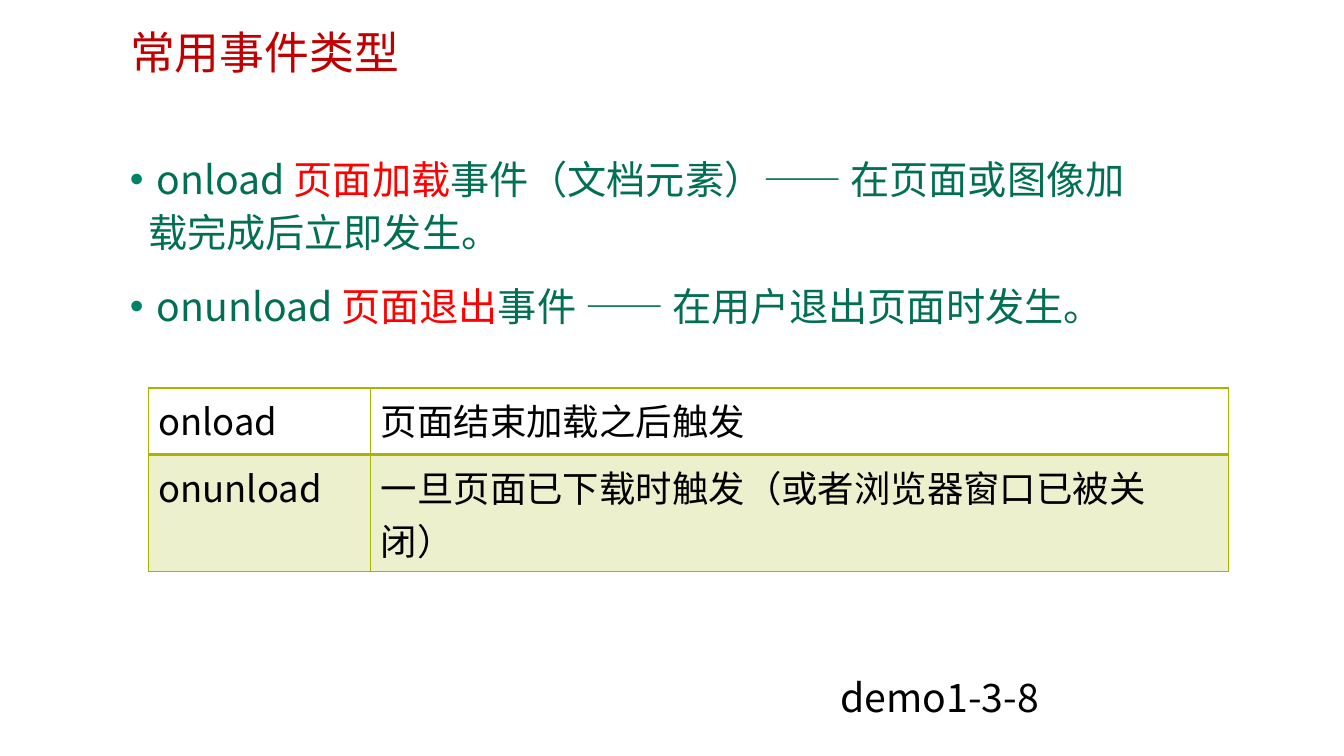
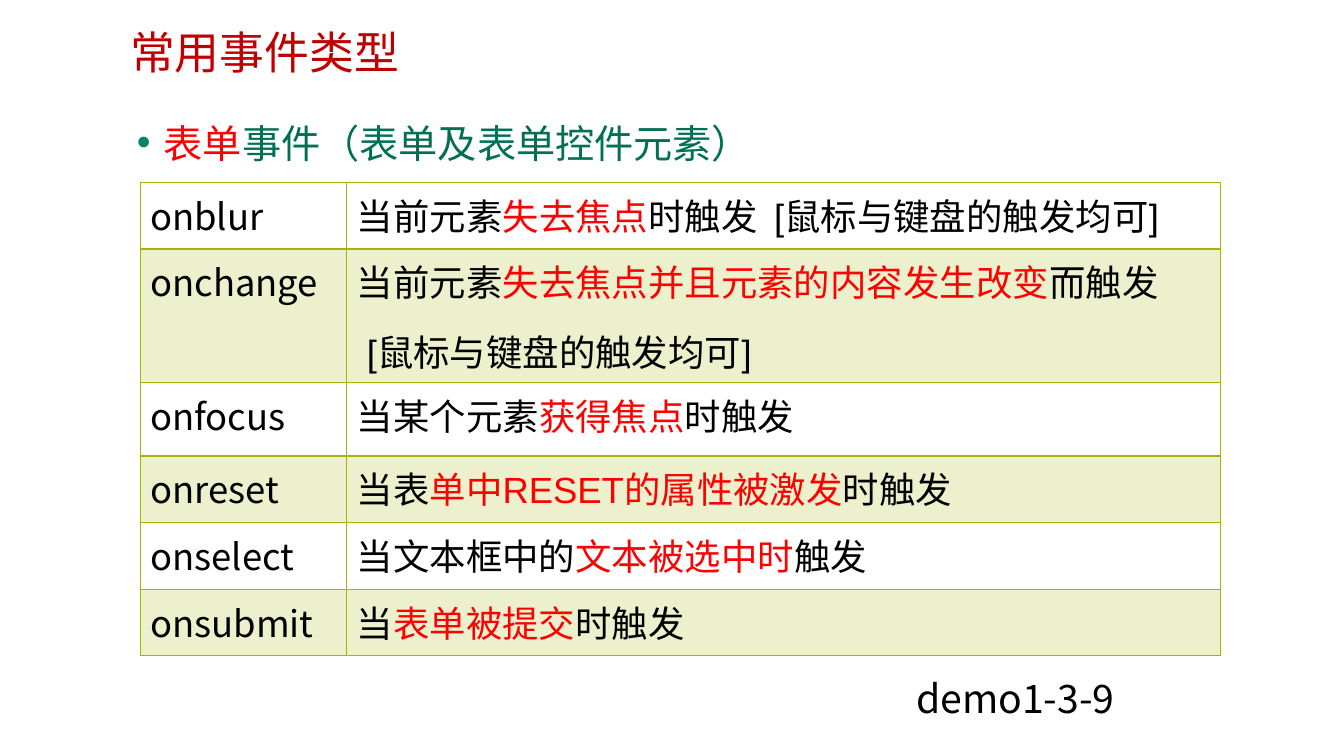
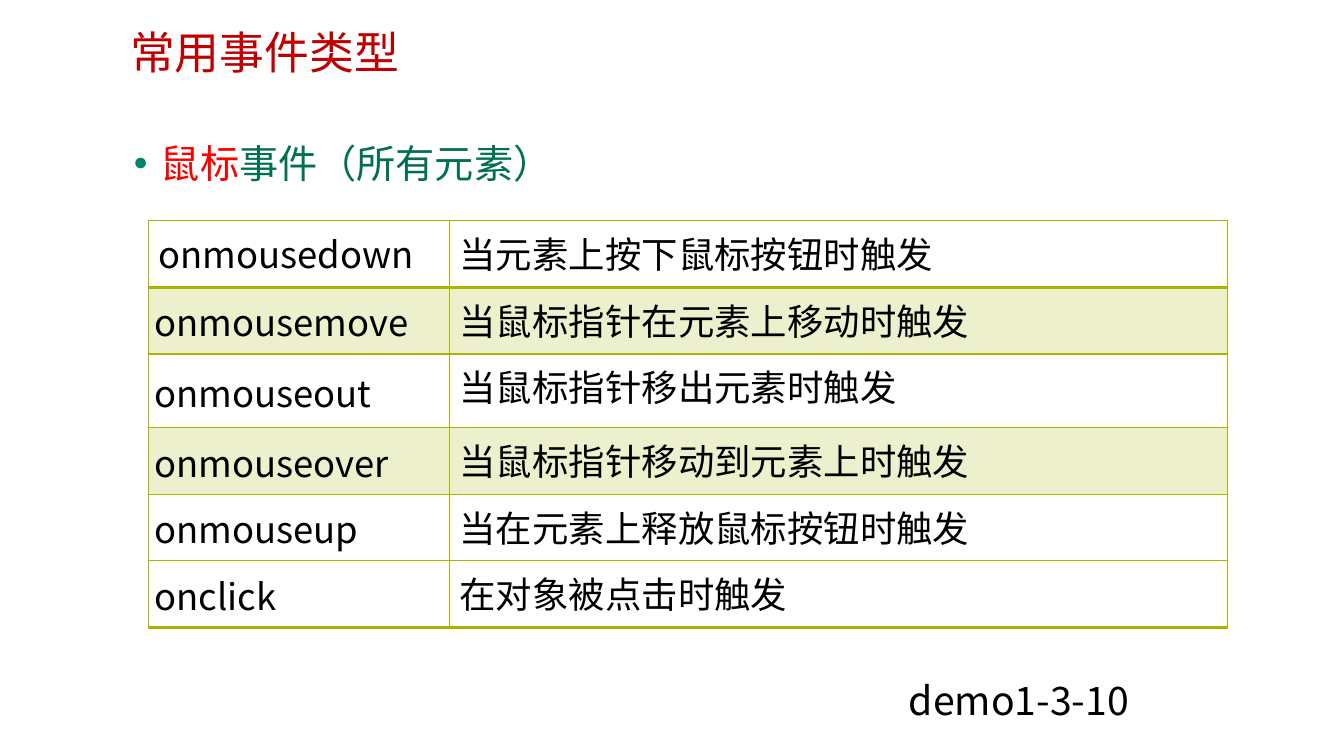
import pptx
import pptx.util
import pptx.dml.color
import pptx.enum.text
import pptx.oxml.ns
from lxml import etree

Pt = pptx.util.Pt
qn = pptx.oxml.ns.qn
ANCHOR = pptx.enum.text.MSO_ANCHOR
COLORS = {"title": "C00000", "body": "006F53", "mark": "FF0000",
          "bullet": "008469", "text": "000000", "rule": "A8B400"}
CJK, LATIN, ALT = "Noto Sans CJK SC", "Arial", "Lato"
TITLE = "常用事件类型"
TITLE_BOX = (85.7, 18.7, 645, 39)
ROW, TALL_ROW = 47.6, 52.5


def rgb(name):
    return pptx.dml.color.RGBColor.from_string(COLORS[name])


def write(p, text, size=28, color="text", font=CJK, line=None, before=0, after=0):
    """Fill a paragraph; every second part between bars is highlighted."""
    p.line_spacing, p.space_before, p.space_after = line, Pt(before), Pt(after)
    for i, part in enumerate(text.split("|")):
        if not part:
            continue
        r = p.add_run()
        r.text = part
        r.font.size, r.font.name = Pt(size), font
        r.font.color.rgb = rgb("mark" if i % 2 else color)
        etree.SubElement(r.font._element, qn("a:ea"), typeface=CJK)


def add_bullet(p, indent=13):
    pPr = p._p.get_or_add_pPr()
    pPr.set("marL", str(Pt(indent)))
    pPr.set("indent", str(-Pt(indent)))
    clr = etree.SubElement(pPr, qn("a:buClr"))
    etree.SubElement(clr, qn("a:srgbClr"), val=COLORS["bullet"])
    etree.SubElement(pPr, qn("a:buFont"), typeface=LATIN)
    etree.SubElement(pPr, qn("a:buChar"), char="•")


def add_title(slide):
    sp = slide.shapes.title
    sp.left, sp.top, sp.width, sp.height = map(Pt, TITLE_BOX)
    tf = sp.text_frame
    tf.auto_size = pptx.enum.text.MSO_AUTO_SIZE.NONE
    tf.vertical_anchor = ANCHOR.TOP
    p = tf.paragraphs[0]
    p.alignment = pptx.enum.text.PP_ALIGN.LEFT
    write(p, TITLE, size=32, color="title", line=0.9)


def add_text(slide, box, items, bullets=False, **fmt):
    tf = slide.shapes.add_textbox(*map(Pt, box)).text_frame
    tf.word_wrap = True
    for i, item in enumerate(items):
        p = tf.paragraphs[0] if i == 0 else tf.add_paragraph()
        write(p, item, **fmt)
        if bullets:
            add_bullet(p)
    return tf


def add_borders(cell, bottom):
    tcPr = cell._tc.get_or_add_tcPr()
    for i, (side, width) in enumerate(zip("LRTB", (1, 1, 1, bottom))):
        ln = etree.Element(qn("a:ln" + side), w=str(Pt(width)))
        fill = etree.SubElement(ln, qn("a:solidFill"))
        etree.SubElement(fill, qn("a:srgbClr"), val=COLORS["rule"])
        tcPr.insert(i, ln)


def add_event_table(slide, left, top, cols, heights, rows, inset_from=None):
    """Event names and descriptions; names are inset from the given row on."""
    table = slide.shapes.add_table(len(rows), 2, Pt(left), Pt(top),
                                   Pt(sum(cols)), Pt(sum(heights))).table
    table.first_row = table.horz_banding = False
    for col, width in zip(table.columns, cols):
        col.width = Pt(width)
    for i, (name, text, *font) in enumerate(rows):
        table.rows[i].height = Pt(heights[i])
        latin = font[0] if font else LATIN
        for j, (content, face) in enumerate(((name, CJK), (text, latin))):
            cell = table.cell(i, j)
            for k, line in enumerate(content.split("\n")):
                tf = cell.text_frame
                p = tf.paragraphs[0] if k == 0 else tf.add_paragraph()
                write(p, line, size=26, font=face, line=Pt(38), before=6, after=6)
            if i % 2:
                cell.fill.solid()
                cell.fill.fore_color.rgb = rgb("rule")
                tint = cell._tc.tcPr.find(".//" + qn("a:srgbClr"))
                etree.SubElement(tint, qn("a:alpha"), val="20000")
            else:
                cell.fill.background()
            add_borders(cell, bottom=2 if i == 0 else 1)
            if j == 0 and inset_from is not None and i >= inset_from:
                cell.vertical_anchor = ANCHOR.MIDDLE
                cell.margin_left = cell.margin_top = cell.margin_bottom = Pt(4.5)
                cell.margin_right = Pt(11.5)


def add_event_slide(prs, bullets, bullet_box, demo, demo_at, **fmt):
    slide = prs.slides.add_slide(prs.slide_layouts[5])
    add_title(slide)
    add_text(slide, bullet_box, bullets, bullets=True, color="body", **fmt)
    add_text(slide, (*demo_at, 184, 41), [demo])
    return slide


prs = pptx.Presentation()
prs.slide_width, prs.slide_height = Pt(960), Pt(540)

# Page events
slide = add_event_slide(
    prs,
    [" onload |页面加载|事件（文档元素）—— 在页面或图像加载完成后立即发生。",
     " onunload |页面退出|事件 —— 在用户退出页面时发生。"],
    (85.7, 103, 743, 366), "demo1-3-8", (593.3, 477.4),
    line=Pt(38), before=10, after=5)
add_event_table(slide, 105.8, 277.2, (159.1, 612.7), [ROW] * 2, [
    ("onload", "页面结束加载之后触发"),
    ("onunload", "一旦页面已下载时触发（或者浏览器窗口已被关闭）")])

# Form events
slide = add_event_slide(
    prs, [" |表单|事件（表单及表单控件元素）"],
    (90.7, 71.3, 656, 366), "demo1-3-9", (647.3, 478), line=1.3)
add_event_table(slide, 100.1, 130.3, (147.6, 624.2),
                [ROW, ROW, TALL_ROW, ROW, ROW, ROW], [
    ("onblur", "当前元素|失去焦点|时触发  [鼠标与键盘的触发均可]"),
    ("onchange", "当前元素|失去焦点并且元素的内容发生改变|而触发\n [鼠标与键盘的触发均可]"),
    ("onfocus", "当某个元素|获得焦点|时触发"),
    ("onreset", "当表|单中RESET的属性被激发|时触发"),
    ("onselect", "当文本框中的|文本被选中时|触发"),
    ("onsubmit", "当|表单被提交|时触发")])

# Mouse events
slide = add_event_slide(
    prs, [" |鼠标|事件（所有元素）"],
    (88.6, 85.7, 574, 366), "demo1-3-10", (642.2, 479.5), line=1.3)
mouse_cols = (215.3, 556)
mouse_rows = [ROW, ROW, TALL_ROW, ROW, ROW]
add_event_table(slide, 105.8, 157.7, mouse_cols, mouse_rows, [
    ("onmousedown", "当元素上按下鼠标按钮时触发"),
    ("onmousemove", "当鼠标指针在元素上移动时触发"),
    ("onmouseout", "当鼠标指针移出元素时触发"),
    ("onmouseover", "当鼠标指针移动到元素上时触发"),
    ("onmouseup", "当在元素上释放鼠标按钮时触发", ALT)], inset_from=1)
add_event_table(slide, 105.8, 157.7 + sum(mouse_rows), mouse_cols, [ROW],
                [("onclick", "在对象被点击时触发")], inset_from=0)

prs.save("out.pptx")
